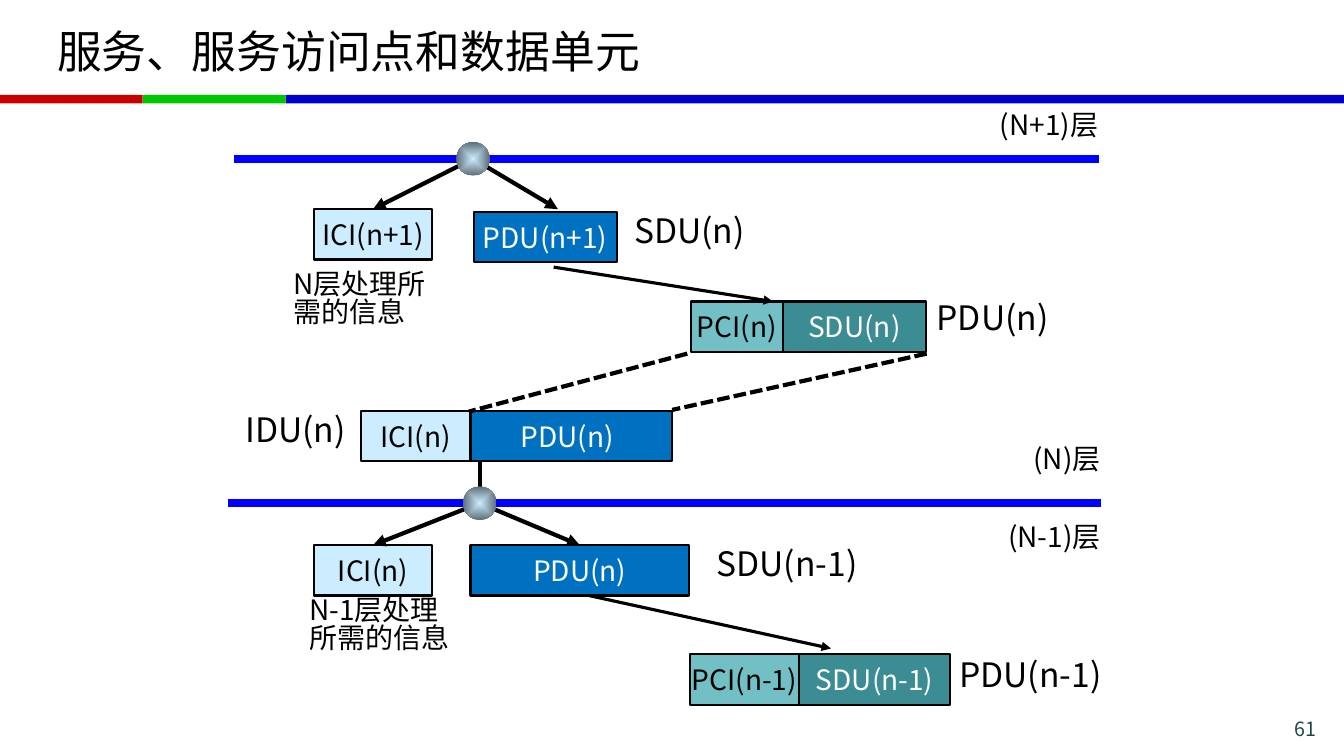
from lxml import etree
from pptx import Presentation
from pptx.dml.color import RGBColor as Rgb
from pptx.enum.dml import MSO_LINE_DASH_STYLE as Dash
from pptx.enum.shapes import MSO_CONNECTOR as Connector, MSO_SHAPE as Shape
from pptx.enum.text import MSO_ANCHOR as Anchor, MSO_AUTO_SIZE as AutoSize, PP_ALIGN as Align
from pptx.oxml import parse_xml
from pptx.oxml.ns import nsdecls, qn
from pptx.util import Inches, Pt

FONT = "Noto Sans CJK SC"
COLORS = {
    "red": "C80000", "green": "00C800", "navy": "0000C8", "layer": "0000FF",
    "black": "000000", "white": "FFFFFF", "number": "1E4649",
    "ici": "CCECFF", "pdu": "0070C0", "pci": "72BFC5", "sdu": "3C8C93",
    "ball edge": "5E6D76",
}
COLOR = {name: Rgb.from_string(value) for name, value in COLORS.items()}

deck = Presentation()
deck.slide_width, deck.slide_height = Inches(13.33), Inches(7.5)
CELL = deck.slide_height / 90
page = deck.slides.add_slide(deck.slide_layouts[5])


def grid(*cells):
    return [round(cell * CELL) for cell in cells]


def write(shape, text, size, color, align=Align.LEFT, spacing=None):
    shape.text_frame.text = text
    para = shape.text_frame.paragraphs[0]
    para.alignment = align
    para.line_spacing = spacing
    span = para.runs[0]
    span.font.name, span.font.size = FONT, Pt(size)
    span.font.color.rgb = COLOR[color]
    etree.SubElement(span.font._element, qn("a:ea"), typeface=FONT)


for color, left, width in [("navy", 34, 126), ("red", 0, 17), ("green", 17, 17)]:
    bar = page.shapes.add_shape(Shape.RECTANGLE, *grid(left, 11.3, width, 1))
    bar.shadow.inherit = False
    bar.fill.solid()
    bar.fill.fore_color.rgb = COLOR[color]
    bar.line.fill.background()

title = page.shapes.title
title.left, title.top, title.width, title.height = grid(5.6, 1, 148.7, 10)
title.text_frame.vertical_anchor = Anchor.MIDDLE
write(title, "服务、服务访问点和数据单元", 32, "black")

number = page.shapes.add_textbox(*grid(142.3, 84.7, 15.6, 2.8))
write(number, "61", 14, "number", Align.RIGHT)

boxes = {}
for name, label, kind, left, top, width in [
    ("upper ici", "ICI(n+1)", "ici", 37.4, 24.9, 14),
    ("upper pdu", "PDU(n+1)", "pdu", 56.4, 25.2, 17),
    ("middle sdu", "SDU(n)", "sdu", 93.2, 35.9, 17),
    ("middle pci", "PCI(n)", "pci", 82.2, 35.9, 11),
    ("idu pdu", "PDU(n)", "pdu", 55, 48.9, 25),
    ("idu ici", "ICI(n)", "ici", 43, 48.9, 13),
    ("lower ici", "ICI(n)", "ici", 37.4, 64.9, 14),
    ("lower pdu", "PDU(n)", "pdu", 56, 64.9, 26),
    ("bottom sdu", "SDU(n-1)", "sdu", 95.1, 77.9, 18),
    ("bottom pci", "PCI(n-1)", "pci", 82.1, 77.9, 13),
]:
    box = page.shapes.add_shape(Shape.RECTANGLE, *grid(left, top, width, 6))
    box.shadow.inherit = False
    box.fill.solid()
    box.fill.fore_color.rgb = COLOR[kind]
    box.line.color.rgb, box.line.width = COLOR["black"], Pt(1.5)
    box.text_frame.word_wrap = False
    box.text_frame.vertical_anchor = Anchor.MIDDLE
    write(box, label, 20, "white" if kind in ("pdu", "sdu") else "black", Align.CENTER)
    boxes[name] = box

for label, size, left, top, width, height in [
    ("(N+1)层", 20, 117.8, 12.9, 15, 5.2),
    ("(N)层", 20, 121.8, 52.7, 13, 5.2),
    ("(N-1)层", 20, 118.8, 61.9, 16, 5.2),
    ("N层处理所需的信息", 20, 33.7, 31.8, 19, 9.2),
    ("N-1层处理所需的信息", 20, 35.6, 70.6, 20.8, 9.2),
    ("SDU(n)", 24, 74.3, 25.2, 16, 6),
    ("PDU(n)", 24, 110.3, 35.6, 19, 6),
    ("IDU(n)", 24, 28, 48.9, 15, 6),
    ("SDU(n-1)", 24, 84.1, 64.9, 22, 6),
    ("PDU(n-1)", 24, 113, 78.1, 21, 6),
]:
    caption = page.shapes.add_textbox(*grid(left, top, width, height))
    caption.text_frame.word_wrap = True
    caption.text_frame.auto_size = AutoSize.SHAPE_TO_FIT_TEXT
    write(caption, label, size, "black", spacing=0.83)

upper_point, lower_point = (56.3, 18.9), (57.1, 59.9)
for start, end, color, weight, style, target in [
    ((27.8, 18.9), (130.8, 18.9), "layer", 6, "plain", None),
    ((27.1, 59.9), (131, 59.9), "layer", 6, "plain", None),
    (upper_point, (44.4, 24.9), "black", 3, "arrow", "upper ici"),
    (upper_point, (66.4, 24.9), "black", 3, "arrow", None),
    ((57.1, 54.9), lower_point, "black", 3, "plain", None),
    (lower_point, (44.4, 64.9), "black", 3, "arrow", "lower ici"),
    (lower_point, (69, 64.9), "black", 3, "arrow", "lower pdu"),
    ((81.8, 42.1), (55.8, 49), "black", 3, "dotted", None),
    ((110.3, 42.1), (80, 48.8), "black", 3, "dotted", None),
    ((65.9, 31.8), (92, 35.9), "black", 2.25, "arrow", None),
    ((70.1, 70.9), (98.9, 77.2), "black", 2.25, "arrow", None),
]:
    link = page.shapes.add_connector(Connector.STRAIGHT, *grid(*start, *end))
    link.line.color.rgb, link.line.width = COLOR[color], Pt(weight)
    if target:
        link.end_connect(boxes[target], 0)
    if style == "dotted":
        link.line.dash_style = Dash.SQUARE_DOT
    if style == "arrow":
        etree.SubElement(link.line._get_or_add_ln(), qn("a:tailEnd"), type="triangle")
    etree.SubElement(link._element.spPr, qn("a:effectLst"))

for x, y in (upper_point, lower_point):
    ball = page.shapes.add_shape(Shape.OVAL, *grid(x - 2, y - 2, 4, 4))
    ball.shadow.inherit = False
    ball.line.fill.background()
    ball.fill.gradient()
    for stop, position, color in zip(ball.fill.gradient_stops, (0, 1), ("ici", "ball edge")):
        stop.position = position
        stop.color.rgb = COLOR[color]
    linear = ball._element.spPr.find(qn("a:gradFill")).find(qn("a:lin"))
    linear.getparent().replace(linear, parse_xml(
        f'<a:path {nsdecls("a")} path="shape">'
        '<a:fillToRect l="50000" t="50000" r="50000" b="50000"/></a:path>'))

deck.save("out.pptx")
